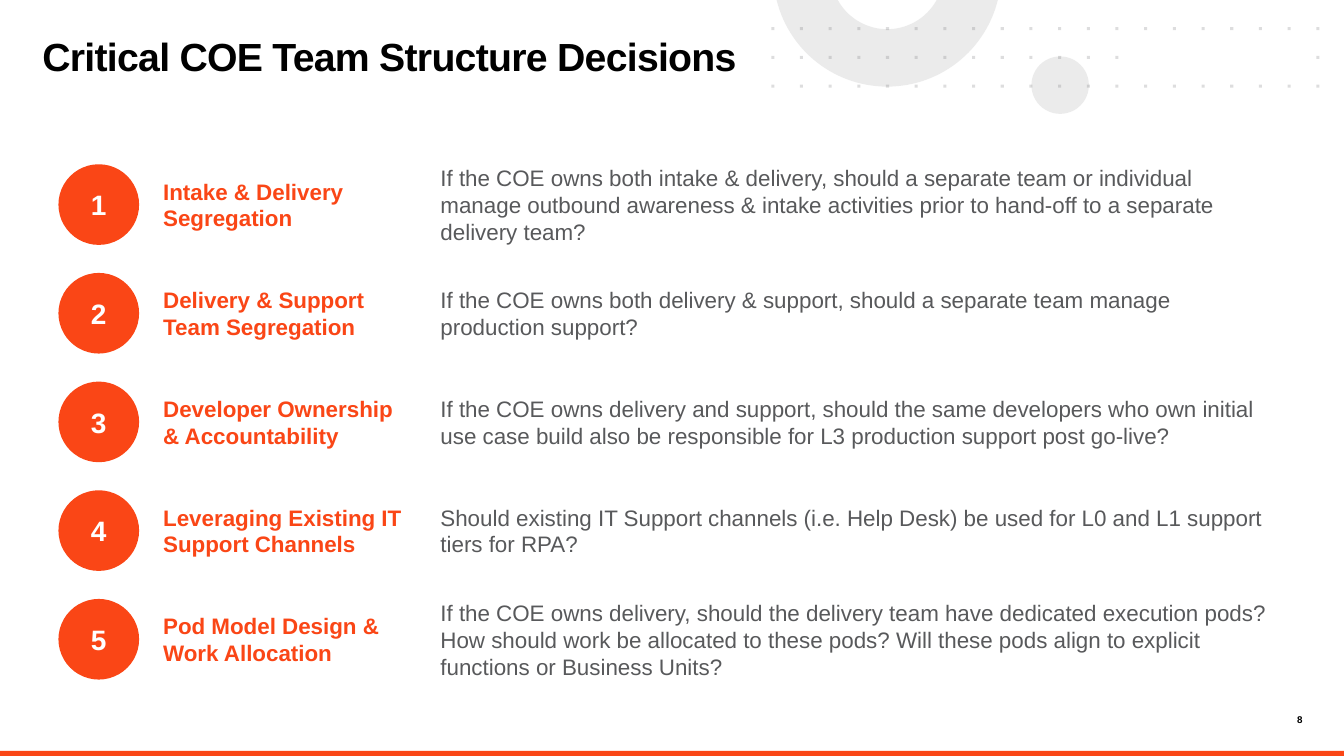
from math import asin, cos, pi, sin

from lxml import etree
from pptx import Presentation
from pptx.dml.color import RGBColor
from pptx.enum.shapes import MSO_SHAPE
from pptx.enum.text import MSO_ANCHOR, MSO_AUTO_SIZE, PP_ALIGN
from pptx.oxml.ns import qn
from pptx.util import Inches, Pt

RECTANGLE, OVAL = MSO_SHAPE.RECTANGLE, MSO_SHAPE.OVAL
LEFT, CENTER, RIGHT = PP_ALIGN.LEFT, PP_ALIGN.CENTER, PP_ALIGN.RIGHT
TOP, MIDDLE = MSO_ANCHOR.TOP, MSO_ANCHOR.MIDDLE
NO_AUTOFIT = MSO_AUTO_SIZE.NONE

# Content
TITLE = "Critical COE Team Structure Decisions"
PAGE_NUMBER = "8"
DECISIONS = [
    ("Intake & Delivery Segregation",
     "If the COE owns both intake & delivery, should a separate team or individual manage "
     "outbound awareness & intake activities prior to hand-off to a separate delivery team?"),
    ("Delivery & Support Team Segregation",
     "If the COE owns both delivery & support, should a separate team manage "
     "production support?"),
    ("Developer Ownership & Accountability",
     "If the COE owns delivery and support, should the same developers who own initial use "
     "case build also be responsible for L3 production support post go-live?"),
    ("Leveraging Existing IT Support Channels",
     "Should existing IT Support channels (i.e. Help Desk) be used for L0 and L1 support "
     "tiers for RPA?"),
    ("Pod Model Design & Work Allocation",
     "If the COE owns delivery, should the delivery team have dedicated execution pods? "
     "How should work be allocated to these pods? Will these pods align to explicit "
     "functions or Business Units?"),
]

# Formats
COLORS = {"accent": "FA4616", "text": "58595B", "decoration": "D9D9D9",
          "white": "FFFFFF", "black": "000000"}
FONT = "Arial"
TITLE_FONT = {"size": Pt(28), "bold": True}
PAGE_FONT = {"size": Pt(7), "bold": True}
NUMBER_FONT = {"size": Pt(20), "bold": True}
LABEL_FONT = {"size": Pt(16), "bold": True}
QUESTION_FONT = {"size": Pt(16), "bold": False}

# Layout, in inches
SLIDE_WIDTH, SLIDE_HEIGHT = 13.33, 7.5
ROW_TOP, ROW_STEP, ROW_HEIGHT = 1.63, 1.078, 0.8
NUMBER_LEFT = 0.58
LABEL_LEFT, LABEL_WIDTH = 1.52, 2.61
QUESTION_LEFT, QUESTION_WIDTH = 4.27, 8.48
RING_X, RING_Y, RING_OUTER, RING_INNER = 8.8, -0.27, 1.13, 0.56
DOT_LEFT, DOT_TOP, DOT_STEP, DOT_SIZE = 7.65, 0.27, 0.2845, 0.03
DOT_ROWS, DOT_COLUMNS = 3, 20
DOT_GAP = {(1, column) for column in range(13, 19)}


def set_fill(shape, color, opacity=None):
    shape.shadow.inherit = False
    shape.line.fill.background()
    shape.fill.solid()
    shape.fill.fore_color.rgb = RGBColor.from_string(COLORS[color])
    if opacity:
        color_element = shape._element.spPr.find(qn("a:solidFill"))[0]
        etree.SubElement(color_element, qn("a:alpha"), val=str(opacity * 1000))


def write(shape, text, font, color, align=LEFT, anchor=MIDDLE, inset=0):
    frame = shape.text_frame
    frame.word_wrap = True
    frame.auto_size = NO_AUTOFIT
    frame.vertical_anchor = anchor
    for side in ("left", "top", "right", "bottom"):
        setattr(frame, f"margin_{side}", Inches(inset))
    paragraph = frame.paragraphs[0]
    paragraph.alignment = align
    run = paragraph.add_run()
    run.text = text
    run.font.name = FONT
    run.font.color.rgb = RGBColor.from_string(COLORS[color])
    for name, value in font.items():
        setattr(run.font, name, value)
    return paragraph


def add_filled(slide, kind, left, top, width, height, color, opacity=None):
    shape = slide.shapes.add_shape(
        kind, Inches(left), Inches(top), Inches(width), Inches(height))
    set_fill(shape, color, opacity)
    return shape


def add_outlines(slide, outlines, color, opacity):
    outlines = [[(Inches(x), Inches(y)) for x, y in outline] for outline in outlines]
    builder = slide.shapes.build_freeform(*outlines[0][0])
    for index, outline in enumerate(outlines):
        if index:
            builder.move_to(*outline[0])
        builder.add_line_segments(outline[1:], close=True)
    set_fill(builder.convert_to_shape(), color, opacity)


def arc_below_top_edge(radius, steps=60):
    start = asin(-RING_Y / radius)
    angles = [start + (pi - 2 * start) * step / steps for step in range(steps + 1)]
    return [(RING_X + radius * cos(angle), RING_Y + radius * sin(angle))
            for angle in angles]


def dot_outline(row, column):
    left, top = DOT_LEFT + column * DOT_STEP, DOT_TOP + row * DOT_STEP
    right, bottom = left + DOT_SIZE, top + DOT_SIZE
    return [(left, top), (right, top), (right, bottom), (left, bottom)]


def add_decoration(slide):
    add_filled(slide, RECTANGLE, 0, 7.45, SLIDE_WIDTH, 0.05, "accent")
    add_filled(slide, OVAL, 10.23, 0.56, 0.57, 0.57, "decoration", 50)
    ring = arc_below_top_edge(RING_OUTER) + arc_below_top_edge(RING_INNER)[::-1]
    add_outlines(slide, [ring], "decoration", 50)
    dots = [dot_outline(row, column) for row in range(DOT_ROWS)
            for column in range(DOT_COLUMNS) if (row, column) not in DOT_GAP]
    add_outlines(slide, dots, "text", 20)


def add_title(slide):
    title = slide.shapes.title
    title.left, title.top = Inches(0.42), Inches(0.39)
    title.width, title.height = Inches(7.23), Inches(0.75)
    paragraph = write(title, TITLE, TITLE_FONT, "black", anchor=TOP)
    paragraph.line_spacing = 0.85
    paragraph.runs[0].font._element.set("spc", "-50")


def add_decisions(slide):
    for index, (label, question) in enumerate(DECISIONS):
        top = ROW_TOP + index * ROW_STEP
        columns = [(LABEL_LEFT, LABEL_WIDTH, label, LABEL_FONT, "accent"),
                   (QUESTION_LEFT, QUESTION_WIDTH, question, QUESTION_FONT, "text")]
        for left, width, text, font, color in columns:
            box = add_filled(slide, RECTANGLE, left, top, width, ROW_HEIGHT, "white")
            write(box, text, font, color, inset=0.1).space_after = Pt(12)
        circle = add_filled(slide, OVAL, NUMBER_LEFT, top, ROW_HEIGHT, ROW_HEIGHT, "accent")
        write(circle, str(index + 1), NUMBER_FONT, "white", CENTER)


def main():
    presentation = Presentation()
    presentation.slide_width = Inches(SLIDE_WIDTH)
    presentation.slide_height = Inches(SLIDE_HEIGHT)
    slide = presentation.slides.add_slide(presentation.slide_layouts[5])
    add_decoration(slide)
    add_title(slide)
    add_decisions(slide)
    page_box = slide.shapes.add_textbox(
        Inches(12.53), Inches(7.08), Inches(0.39), Inches(0.13))
    write(page_box, PAGE_NUMBER, PAGE_FONT, "black", RIGHT, TOP)
    presentation.save("out.pptx")


if __name__ == "__main__":
    main()
